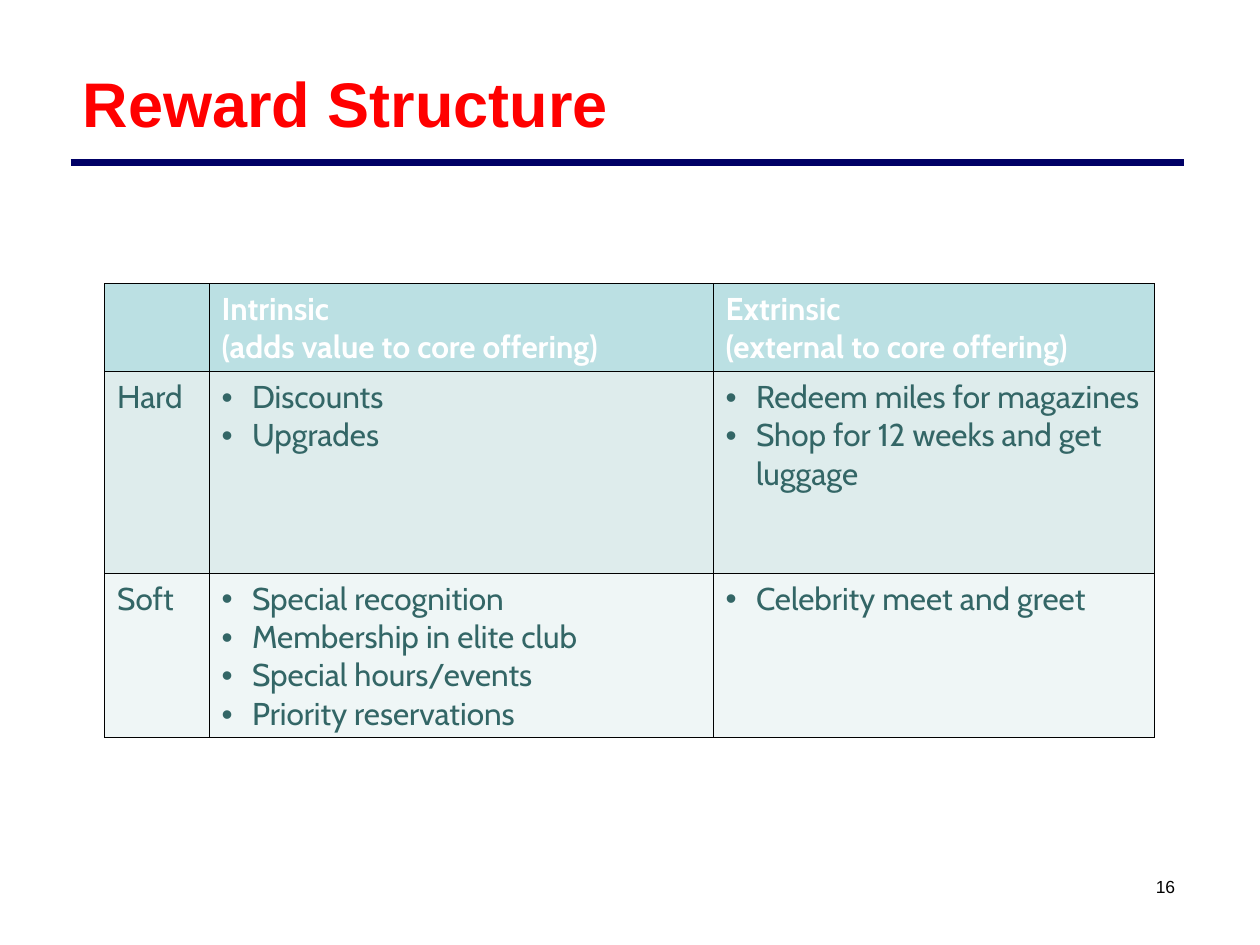
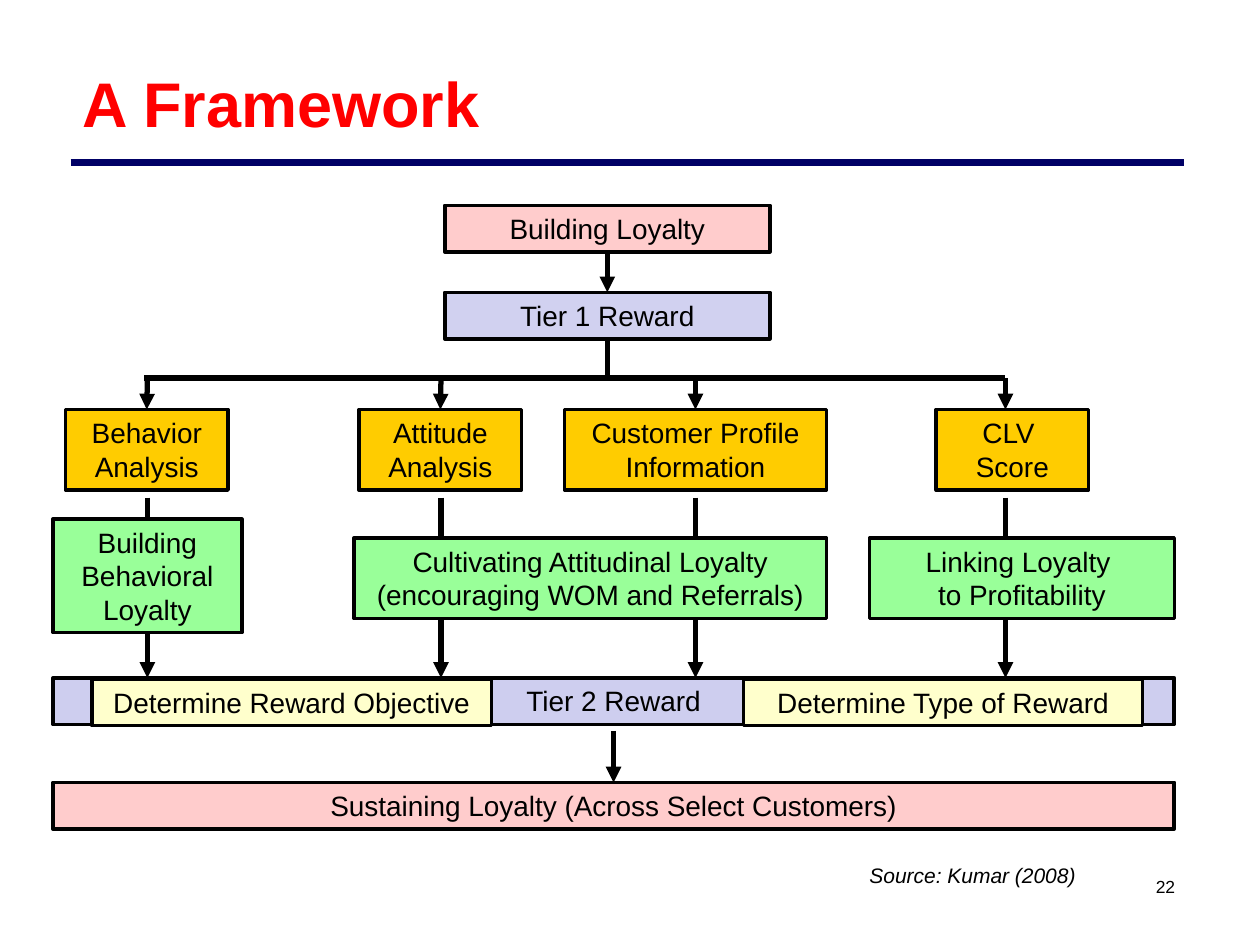
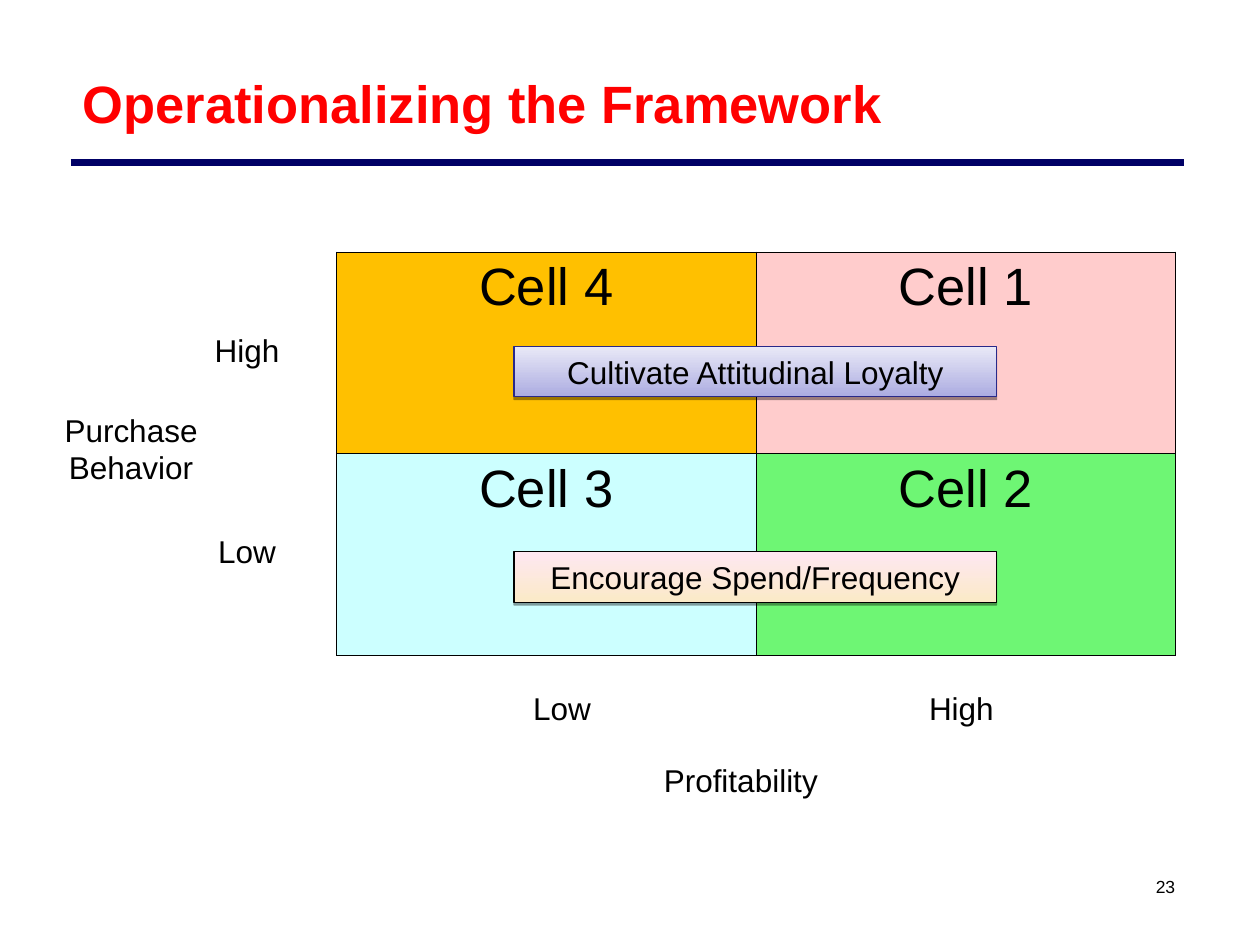
from lxml import etree
from pptx import Presentation
from pptx.dml.color import RGBColor
from pptx.enum.shapes import MSO_CONNECTOR, MSO_SHAPE
from pptx.enum.text import MSO_ANCHOR as ANCHOR, PP_ALIGN as ALIGN
from pptx.oxml import parse_xml
from pptx.oxml.ns import nsdecls, qn
from pptx.util import Inches, Pt

BLACK = RGBColor(0x00, 0x00, 0x00)
WHITE = RGBColor(0xFF, 0xFF, 0xFF)
RED = RGBColor(0xFF, 0x00, 0x00)
NAVY = RGBColor(0x00, 0x00, 0x66)
TEAL = RGBColor(0x33, 0x66, 0x66)
HEADER_TEAL = RGBColor(0xBB, 0xE0, 0xE3)
BAND_DARK = RGBColor(0xDE, 0xEC, 0xEC)
BAND_LIGHT = RGBColor(0xEF, 0xF6, 0xF6)
PINK = RGBColor(0xFF, 0xCC, 0xCC)
GOLD = RGBColor(0xFF, 0xCC, 0x00)
GREEN = RGBColor(0x99, 0xFF, 0x99)
CREAM = RGBColor(0xFF, 0xFF, 0xCC)
TIER_1 = RGBColor(0xD1, 0xD1, 0xF0)
TIER_2 = RGBColor(0xCE, 0xCE, 0xEF)
AMBER = RGBColor(0xFF, 0xC0, 0x00)
CYAN = RGBColor(0xCC, 0xFF, 0xFF)
LIME = RGBColor(0x6E, 0xF6, 0x74)
INDIGO = RGBColor(0x29, 0x29, 0x89)
LAVENDER = [RGBColor(0xAC, 0xAC, 0xE1), RGBColor(0xE9, 0xE9, 0xF7)]
PEACH = [RGBColor(0xFB, 0xEA, 0xC7), RGBColor(0xFE, 0xE7, 0xF2)]

BODY = {"name": "Arial", "size": Pt(18), "bold": False}
DIAGRAM = BODY | {"size": Pt(16)}


def write(tf, paragraphs, font=BODY, color=BLACK, align=ALIGN.CENTER, bullet=False):
    """Fill a text frame with one paragraph for each string."""
    for i, text in enumerate(paragraphs):
        p = tf.paragraphs[0] if i == 0 else tf.add_paragraph()
        p.text = text
        p.alignment = align
        for r in p.runs:
            for key, value in font.items():
                setattr(r.font, key, value)
            r.font.color.rgb = color
        if bullet:
            pPr = p._p.get_or_add_pPr()
            pPr.set("marL", str(Inches(0.24)))
            pPr.set("indent", str(-Inches(0.24)))
            etree.SubElement(pPr, qn("a:buFont")).set("typeface", "Arial")
            etree.SubElement(pPr, qn("a:buChar")).set("char", "•")


def add_label(s, box, paragraphs, anchor=ANCHOR.TOP, **style):
    tf = s.shapes.add_textbox(*map(Inches, box)).text_frame
    tf.word_wrap = True
    tf.vertical_anchor = anchor
    write(tf, paragraphs, **style)


def add_box(s, box, paragraphs, fill, font=DIAGRAM, line=BLACK, width=2):
    """Add an outlined rectangle; a list of two colours fills it from bottom to top."""
    sp = s.shapes.add_shape(MSO_SHAPE.RECTANGLE, *map(Inches, box))
    sp.shadow.inherit = False
    if isinstance(fill, list):
        sp.fill.gradient()
        sp.fill.gradient_angle = 90
        for stop, color, position in zip(sp.fill.gradient_stops, fill, (0, 1)):
            stop.color.rgb = color
            stop.position = position
    else:
        sp.fill.solid()
        sp.fill.fore_color.rgb = fill
    sp.line.color.rgb = line
    sp.line.width = Pt(width)
    sp.text_frame.word_wrap = True
    sp.text_frame.vertical_anchor = ANCHOR.TOP
    write(sp.text_frame, paragraphs, font)
    return sp


def add_line(s, start, end, color=BLACK, width=3, arrow=False, begin=None, finish=None):
    """Draw a line; begin joins a shape's bottom, finish joins a shape's top."""
    line = s.shapes.add_connector(MSO_CONNECTOR.STRAIGHT, *map(Inches, (*start, *end)))
    line.line.color.rgb = color
    line.line.width = Pt(width)
    spPr = line._element.spPr
    if arrow:
        etree.SubElement(spPr.find(qn("a:ln")), qn("a:tailEnd")).set("type", "triangle")
    etree.SubElement(spPr, qn("a:effectLst"))
    if begin is not None:
        line.begin_connect(begin, 2)
    if finish is not None:
        line.end_connect(finish, 0)


def add_shadow(sp):
    effects = sp._element.spPr.find(qn("a:effectLst"))
    effects.append(parse_xml(
        f'<a:outerShdw {nsdecls("a")} blurRad="0" dist="{Pt(1.6)}" dir="5400000" rotWithShape="0">'
        '<a:srgbClr val="000000"><a:alpha val="38000"/></a:srgbClr></a:outerShdw>'))


def style_cell(cell, fill):
    cell.fill.solid()
    cell.fill.fore_color.rgb = fill
    tcPr = cell._tc.get_or_add_tcPr()
    for i, side in enumerate(("lnL", "lnR", "lnT", "lnB")):
        tcPr.insert(i, parse_xml(
            f'<a:{side} {nsdecls("a")} w="{Pt(0.45)}"><a:solidFill>'
            f'<a:srgbClr val="{BLACK!s}"/></a:solidFill></a:{side}>'))


def add_grid(s, left, top, widths, heights):
    box = map(Inches, (left, top, sum(widths), sum(heights)))
    table = s.shapes.add_table(len(heights), len(widths), *box).table
    table.first_row = table.horz_banding = False
    for column, width in zip(table.columns, widths):
        column.width = Inches(width)
    for row, height in zip(table.rows, heights):
        row.height = Inches(height)
    return table


def add_titled_slide(prs, title, number, size=36):
    s = prs.slides.add_slide(prs.slide_layouts[6])
    add_label(s, (9, 6.85, 0.5, 0.37), [str(number)], ANCHOR.MIDDLE,
              font=BODY | {"size": Pt(10)})
    add_line(s, (0.56, 1.29), (9.4, 1.29), NAVY, 4.5)
    add_label(s, (0.56, 0.3, 8.81, 1.03), [title], ANCHOR.MIDDLE, color=RED,
              align=ALIGN.LEFT, font=BODY | {"size": Pt(size), "bold": True})
    return s


def add_reward_table(s, left, top):
    rows = [
        (HEADER_TEAL, [[], ["Intrinsic\v(adds value to core offering)"],
                       ["Extrinsic\v(external to core offering)"]]),
        (BAND_DARK, [["Hard"], ["Discounts", "Upgrades"],
                     ["Redeem miles for magazines", "Shop for 12 weeks and get luggage"]]),
        (BAND_LIGHT, [["Soft"],
                      ["Special recognition", "Membership in elite club",
                       "Special hours/events", "Priority reservations"],
                      ["Celebrity meet and greet"]]),
    ]
    table = add_grid(s, left, top, (0.83, 4, 3.5), (0.7, 1.6, 1.3))
    for i, (fill, texts) in enumerate(rows):
        header = i == 0
        for j, paragraphs in enumerate(texts):
            cell = table.cell(i, j)
            style_cell(cell, fill)
            write(cell.text_frame, paragraphs, BODY | {"name": "Cabin", "bold": header},
                  WHITE if header else TEAL, ALIGN.LEFT, bullet=not header and j > 0)


def add_framework(s, left, top):
    row_h, tall_h, full_w = 0.37, 0.64, 8.9
    bus_y, factor_y, tier_2_y = 1.37, 1.62, 3.75

    def at(x, y):
        return left + x, top + y

    def box(x, y, w, h, fill, *paragraphs):
        return add_box(s, (*at(x, y), w, h), paragraphs, fill)

    goal = box(3.11, 0, 2.58, row_h, PINK, "Building Loyalty")
    tier_1 = box(3.11, 0.69, 2.58, row_h, TIER_1, "Tier 1 Reward")
    add_line(s, at(4.4, row_h), at(4.4, 0.69), arrow=True, begin=goal, finish=tier_1)
    add_line(s, at(4.4, 1.06), at(4.4, bus_y), begin=tier_1)

    box(0, tier_2_y, full_w, row_h, TIER_2, "Tier 2 Reward")
    for x, text in ((0.31, "Determine Reward Objective"), (5.48, "Determine Type of Reward")):
        box(x, tier_2_y + 0.01, 3.17, row_h, CREAM, text)

    factors = [
        (0.1, 1.29, 0.75, ["Behavior Analysis"]),
        (2.43, 1.29, 3.08, ["Attitude Analysis"]),
        (4.06, 2.08, 5.1, ["Customer Profile Information"]),
        (7.01, 1.21, 7.56, ["CLV ", "Score"]),
    ]
    for x, w, stem_x, paragraphs in factors:
        factor = box(x, factor_y, w, tall_h, GOLD, *paragraphs)
        centred = abs(x + w / 2 - stem_x) < 0.02
        add_line(s, at(stem_x, bus_y), at(stem_x, factor_y), arrow=True,
                 finish=factor if centred else None)
        add_line(s, at(stem_x, 2.32), at(stem_x, tier_2_y), arrow=True)
    add_line(s, at(7.56, bus_y), at(0.72, bus_y))

    box(0, 2.49, 1.5, 0.9, GREEN, "Building Behavioral Loyalty")
    box(2.39, 2.64, 3.75, tall_h, GREEN,
        "Cultivating Attitudinal Loyalty", "(encouraging WOM and Referrals)")
    box(6.48, 2.64, 2.42, tall_h, GREEN, "Linking Loyalty ", "to Profitability")

    outcome = box(0, 4.58, full_w, row_h, PINK, "Sustaining Loyalty (Across Select Customers)")
    add_line(s, at(full_w / 2, 4.17), at(full_w / 2, 4.58), arrow=True, finish=outcome)
    add_label(s, (*at(6.17, 5.17), 2.26, 0.3), ["Source: Kumar (2008)"],
              font=BODY | {"size": Pt(12), "italic": True})


def add_matrix(s, left, top):
    """Add the two-by-two grid, its axis labels and the two strategy bars."""
    cells = [[("Cell 4", AMBER), ("Cell 1", PINK)], [("Cell 3", CYAN), ("Cell 2", LIME)]]
    table = add_grid(s, left, top, (3.33, 3.33), (1.6, 1.6))
    for i, row in enumerate(cells):
        for j, (text, fill) in enumerate(row):
            style_cell(table.cell(i, j), fill)
            write(table.cell(i, j).text_frame, [text], BODY | {"size": Pt(30)})

    labels = [
        (1.08, 3.42, 1.42, 0.4, "Low"),
        (4.25, 3.42, 1.42, 0.4, "High"),
        (-1.42, 2.17, 1.42, 0.4, "Low"),
        (-1.42, 0.58, 1.42, 0.4, "High"),
        (2.33, 3.99, 1.76, 0.4, "Profitability"),
        (-2.34, 1.21, 1.42, 0.7, "Purchase Behavior"),
    ]
    for x, y, w, h, text in labels:
        add_label(s, (left + x, top + y, w, h), [text])

    bars = [(0.75, "Cultivate Attitudinal Loyalty", LAVENDER, INDIGO),
            (2.38, "Encourage Spend/Frequency", PEACH, BLACK)]
    for y, text, fill, line in bars:
        add_shadow(add_box(s, (left + 1.41, top + y, 3.83, 0.4), [text], fill, BODY, line, 0.75))


def main():
    prs = Presentation()
    prs.slide_width, prs.slide_height = Inches(10), Inches(7.5)
    add_reward_table(add_titled_slide(prs, "Reward Structure", 16), 0.83, 2.25)
    add_framework(add_titled_slide(prs, "A Framework", 22), 0.42, 1.63)
    add_matrix(add_titled_slide(prs, "Operationalizing the Framework", 23, 30), 2.67, 2)
    prs.save("out.pptx")


if __name__ == "__main__":
    main()
